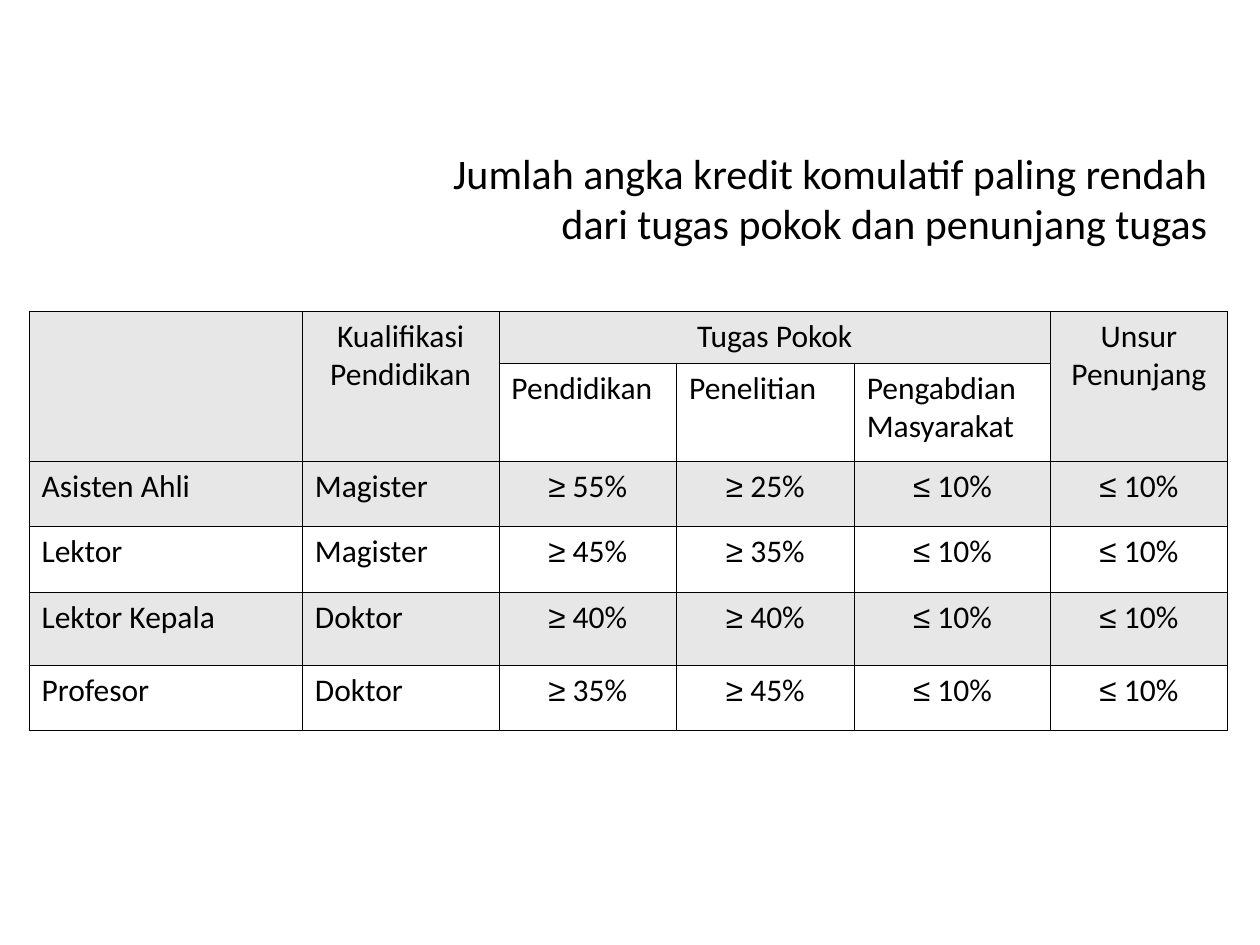
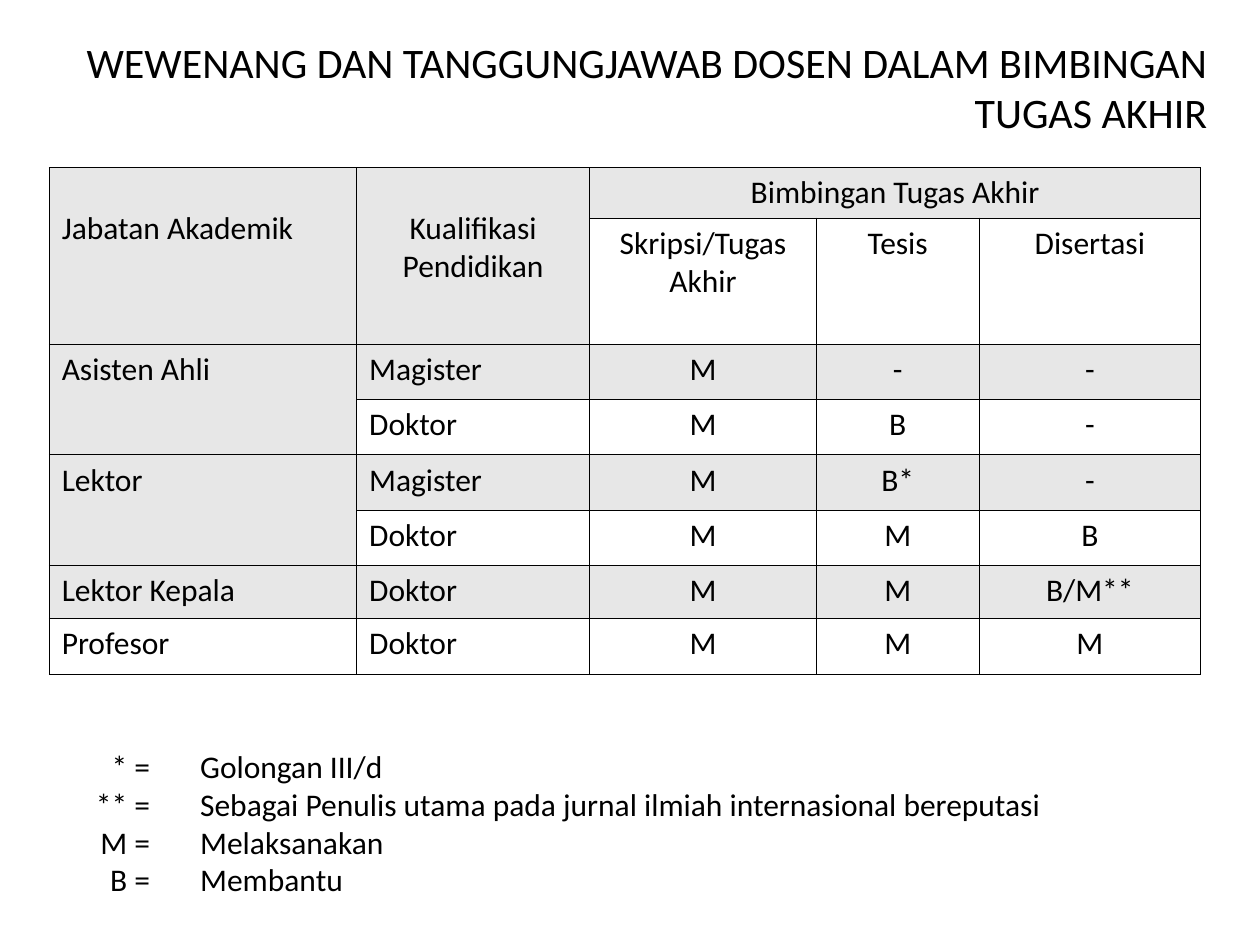
import pptx
import pptx.util
import pptx.dml.color
import pptx.enum.text
import pptx.oxml
import pptx.oxml.ns

Inches = pptx.util.Inches
Pt = pptx.util.Pt
PP_ALIGN = pptx.enum.text.PP_ALIGN
MSO_ANCHOR = pptx.enum.text.MSO_ANCHOR

BLACK = pptx.dml.color.RGBColor(0x00, 0x00, 0x00)
WHITE = pptx.dml.color.RGBColor(0xFF, 0xFF, 0xFF)
GREY = pptx.dml.color.RGBColor(0xE7, 0xE7, 0xE7)
FONT = "Calibri"
SYMBOL_FONT = "Arial"
BODY_SIZE = 18
TITLE_SIZE = 24

CREDIT = {
    "title": "Jumlah angka kredit komulatif paling rendah\ndari tugas pokok dan penunjang tugas",
    "title_top": 1.11,
    "at": (0.23, 2.47),
    "cols": [2.17, 1.56, 1.41, 1.41, 1.56, 1.4],
    "heights": [0.41, 0.78, 0.52, 0.52, 0.58, 0.52],
    "merges": [(0, 0, 1, 0), (0, 1, 1, 1), (0, 2, 0, 4), (0, 5, 1, 5)],
    "subhead_align": PP_ALIGN.LEFT,
    "head_top": 0.05,
    "rows": [
        ["", "Kualifikasi Pendidikan", "Tugas Pokok", "", "", "Unsur Penunjang"],
        ["", "", "Pendidikan", "Penelitian", "Pengabdian Masyarakat", ""],
        ["Asisten Ahli", "Magister", "≥ 55%", "≥ 25%", "≤ 10%", "≤ 10%"],
        ["Lektor", "Magister", "≥ 45%", "≥ 35%", "≤ 10%", "≤ 10%"],
        ["Lektor Kepala", "Doktor", "≥ 40%", "≥ 40%", "≤ 10%", "≤ 10%"],
        ["Profesor", "Doktor", "≥ 35%", "≥ 45%", "≤ 10%", "≤ 10%"],
    ],
}

SUPERVISION = {
    "title": "WEWENANG DAN TANGGUNGJAWAB DOSEN DALAM BIMBINGAN TUGAS AKHIR",
    "title_top": 0.23,
    "at": (0.39, 1.33),
    "cols": [2.44, 1.85, 1.8, 1.29, 1.76],
    "heights": [0.4, 1, 0.44, 0.44, 0.44, 0.44, 0.42, 0.44],
    "merges": [(0, 0, 1, 0), (0, 1, 1, 1), (0, 2, 0, 4), (2, 0, 3, 0), (4, 0, 5, 0)],
    "subhead_align": PP_ALIGN.CENTER,
    "head_top": 0.33,
    "rows": [
        ["Jabatan Akademik", "Kualifikasi Pendidikan", "Bimbingan Tugas Akhir", "", ""],
        ["", "", "Skripsi/Tugas Akhir", "Tesis", "Disertasi"],
        ["Asisten Ahli", "Magister", "M", "-", "-"],
        ["", "Doktor", "M", "B", "-"],
        ["Lektor", "Magister", "M", "B*", "-"],
        ["", "Doktor", "M", "M", "B"],
        ["Lektor Kepala", "Doktor", "M", "M", "B/M**"],
        ["Profesor", "Doktor", "M", "M", "M"],
    ],
}

LEGEND = [
    ("* =", "Golongan III/d"),
    ("** =", "Sebagai Penulis utama pada jurnal ilmiah internasional bereputasi"),
    ("M =", "Melaksanakan"),
    ("B =", "Membantu"),
]


def style(p, size, align):
    p.alignment = align
    p.font.name = FONT
    p.font.size = Pt(size)
    p.font.color.rgb = BLACK


def add_text(s, at, lines, size, align, anchor=MSO_ANCHOR.TOP, wrap=True):
    tf = s.shapes.add_textbox(*map(Inches, at)).text_frame
    tf.word_wrap = wrap
    tf.vertical_anchor = anchor
    for i, line in enumerate(lines):
        p = tf.add_paragraph() if i else tf.paragraphs[0]
        p.text = line
        style(p, size, align)


def add_borders(cell):
    tc_pr = cell._tc.get_or_add_tcPr()
    for i, side in enumerate(("lnL", "lnR", "lnT", "lnB")):
        tc_pr.insert(i, pptx.oxml.parse_xml(
            f'<a:{side} {pptx.oxml.ns.nsdecls("a")} w="{Pt(0.45)}"><a:solidFill>'
            f'<a:srgbClr val="{BLACK}"/></a:solidFill></a:{side}>'))


def fill_cell(cell, text, fill, align):
    cell.fill.solid()
    cell.fill.fore_color.rgb = fill
    add_borders(cell)
    p = cell.text_frame.paragraphs[0]
    style(p, BODY_SIZE, align)
    if text[:1] in ("≥", "≤"):
        r = p.add_run()
        r.text = text[0]
        r.font.name = SYMBOL_FONT
        text = text[1:]
    if text:
        p.add_run().text = text


def cell_align(row, col, subhead_align):
    if row == 1:
        return subhead_align
    if col == 0 or (row > 1 and col == 1):
        return PP_ALIGN.LEFT
    return PP_ALIGN.CENTER


def add_grid(s, data):
    rows, cols, heights = data["rows"], data["cols"], data["heights"]
    size = (sum(cols), sum(heights))
    table = s.shapes.add_table(len(rows), len(cols), *map(Inches, data["at"] + size)).table
    table.first_row = table.horz_banding = False
    for column, width in zip(table.columns, cols):
        column.width = Inches(width)
    for row, height in zip(table.rows, heights):
        row.height = Inches(height)
    for i, row in enumerate(rows):
        for j, text in enumerate(row):
            fill = WHITE if i % 2 else GREY
            fill_cell(table.cell(i, j), text, fill, cell_align(i, j, data["subhead_align"]))
    for top, left, bottom, right in data["merges"]:
        table.cell(top, left).merge(table.cell(bottom, right))
    for j in (0, 1):
        table.cell(0, j).margin_top = Inches(data["head_top"])


def add_table_slide(prs, data):
    s = prs.slides.add_slide(prs.slide_layouts[6])
    add_text(s, (0.33, data["title_top"], 9.35, 0.92), [data["title"]],
             TITLE_SIZE, PP_ALIGN.RIGHT, MSO_ANCHOR.MIDDLE)
    add_grid(s, data)
    return s


def main():
    prs = pptx.Presentation()
    prs.slide_width, prs.slide_height = Inches(10), Inches(7.5)
    add_table_slide(prs, CREDIT)
    s = add_table_slide(prs, SUPERVISION)
    symbols, meanings = zip(*LEGEND)
    add_text(s, (0.66, 5.88, 0.63, 1.3), symbols, BODY_SIZE, PP_ALIGN.RIGHT, wrap=False)
    add_text(s, (1.49, 5.88, 6.89, 1.3), meanings, BODY_SIZE, PP_ALIGN.LEFT, wrap=False)
    prs.save("out.pptx")


if __name__ == "__main__":
    main()
